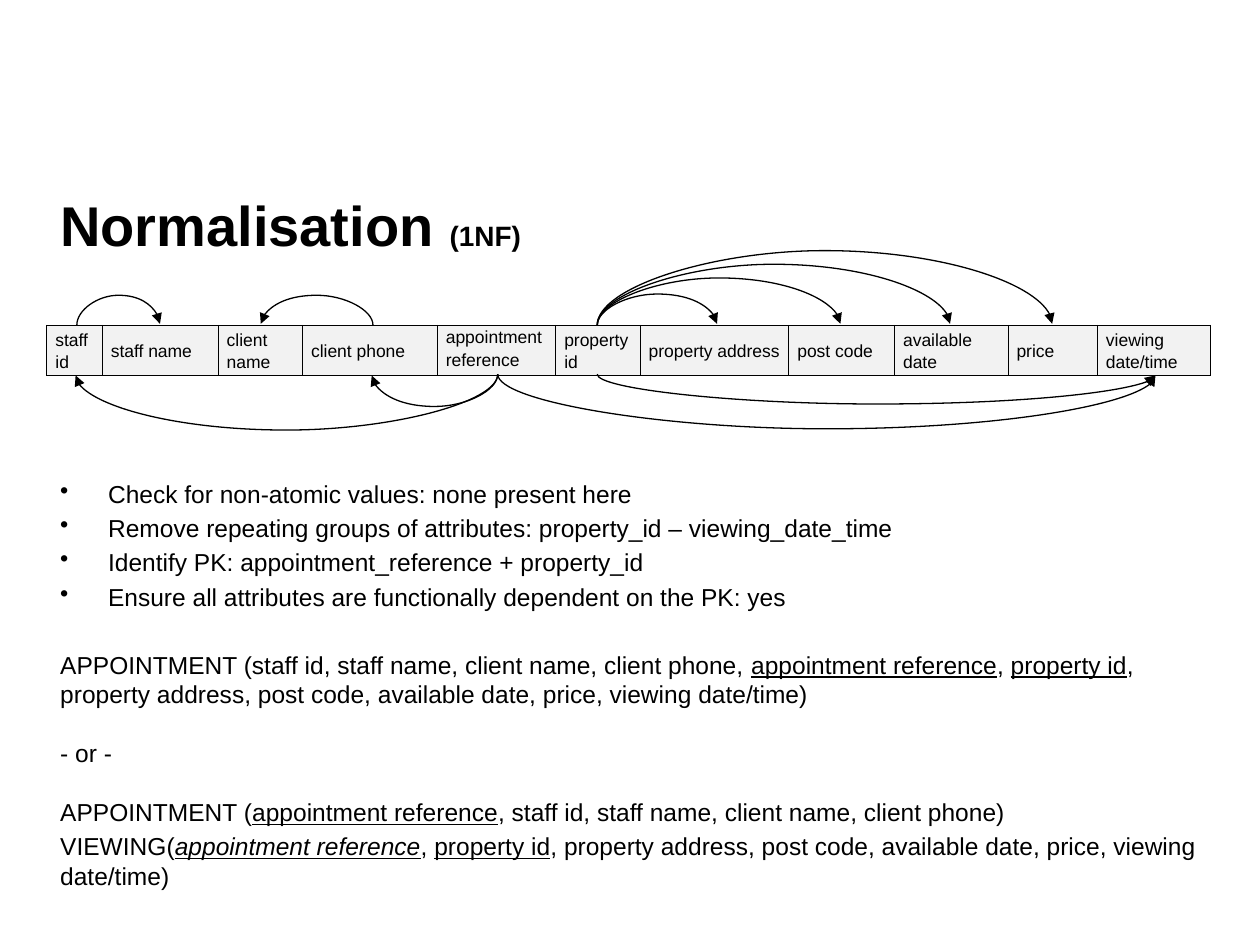
from lxml.etree import SubElement
from pptx import Presentation
from pptx.dml.color import RGBColor
from pptx.enum.shapes import MSO_CONNECTOR
from pptx.enum.text import MSO_ANCHOR, PP_ALIGN
from pptx.oxml.ns import qn
from pptx.util import Inches, Pt

COLORS = {"ink": "000000", "cell": "F2F2F2"}
FONT = "Arial"
PLAIN = {}
KEY = {"underline": True}
FOREIGN_KEY = {"underline": True, "italic": True}

TITLE = [("Normalisation ", 32), ("(1NF)", 16)]
STEPS = [
    "Check for non-atomic values: none present here",
    "Remove repeating groups of attributes: property_id – viewing_date_time",
    "Identify PK: appointment_reference + property_id",
    "Ensure all attributes are functionally dependent on the PK: yes",
]
RELATIONS = [
    (22, [("APPOINTMENT (staff id, staff name, client name, client phone, ", PLAIN),
          ("appointment reference", KEY), (", ", PLAIN), ("property id", KEY),
          (", property address, post code, available date, price, viewing date/time)", PLAIN)]),
    (16.9, [("- or -", PLAIN)]),
    (16.9, [("APPOINTMENT (", PLAIN), ("appointment reference", KEY),
            (", staff id, staff name, client name, client phone)", PLAIN)]),
    (2.8, [("VIEWING(", PLAIN), ("appointment reference", FOREIGN_KEY), (", ", PLAIN),
           ("property id", KEY),
           (", property address, post code, available date, price, viewing date/time)", PLAIN)]),
]
ATTRIBUTES = [
    ("staff id", 0.44), ("staff name", 0.92), ("client name", 0.67),
    ("client phone", 1.07), ("appointment reference", 0.94), ("property id", 0.67),
    ("property address", 1.18), ("post code", 0.84), ("available date", 0.9),
    ("price", 0.71), ("viewing date/time", 0.9),
]
TABLE_LEFT, TABLE_TOP, ROW_HEIGHT = 0.37, 2.58, 0.4
ARCS_ABOVE = [(0.61, 1.27, 2.34), (2.96, 2.07, 2.34), (4.74, 5.69, 2.33),
              (4.74, 6.67, 2.2), (4.74, 7.54, 2.09), (4.74, 8.35, 1.98)]
ARCS_BELOW = [(4.74, 9.17, 3.21), (3.95, 9.17, 3.41),
              (3.95, 2.95, 3.23), (3.95, 0.6, 3.42)]
ARC_TOP, ARC_BOTTOM, ARC_STEP = 2.58, 2.97, 0.01


def add_span(para, text, size, **styles):
    span = para.add_run()
    span.text = text
    span.font.color.rgb = RGBColor.from_string(COLORS["ink"])
    for name, value in {"name": FONT, "size": Pt(size), **styles}.items():
        setattr(span.font, name, value)


def add_text_box(page, left, top, width, height, anchor):
    box = page.shapes.add_textbox(*map(Inches, (left, top, width, height)))
    box.text_frame.word_wrap = True
    box.text_frame.vertical_anchor = anchor
    return box.text_frame


def add_bullet(para):
    properties = para._p.get_or_add_pPr()
    properties.set("marL", str(Inches(0.38)))
    properties.set("indent", str(-Inches(0.38)))
    SubElement(properties, qn("a:buChar"), char="•")


def add_border(cell):
    properties = cell._tc.get_or_add_tcPr()
    for index, side in enumerate(("lnL", "lnR", "lnT", "lnB")):
        line = SubElement(properties, qn(f"a:{side}"), w=str(Pt(0.25)))
        fill = SubElement(line, qn("a:solidFill"))
        SubElement(fill, qn("a:srgbClr"), val=COLORS["ink"])
        properties.remove(line)
        properties.insert(index, line)


def add_attribute_table(page):
    widths = [width for _, width in ATTRIBUTES]
    frame = page.shapes.add_table(1, len(ATTRIBUTES), Inches(TABLE_LEFT), Inches(TABLE_TOP),
                                  Inches(sum(widths)), Inches(ROW_HEIGHT))
    table = frame.table
    table.first_row = table.horz_banding = False
    table.rows[0].height = Inches(ROW_HEIGHT)
    for index, (label, width) in enumerate(ATTRIBUTES):
        table.columns[index].width = Inches(width)
        cell = table.cell(0, index)
        cell.fill.solid()
        cell.fill.fore_color.rgb = RGBColor.from_string(COLORS["cell"])
        cell.margin_left = cell.margin_right = Inches(0.07)
        cell.margin_top = cell.margin_bottom = 0
        top_aligned = label == "appointment reference"
        cell.vertical_anchor = MSO_ANCHOR.TOP if top_aligned else MSO_ANCHOR.MIDDLE
        para = cell.text_frame.paragraphs[0]
        para.alignment = PP_ALIGN.LEFT
        para.line_spacing = 1.15
        add_span(para, label, 10)
        add_border(cell)


def add_arc(page, start, end, peak, above):
    rightward = end > start
    base = ARC_TOP if above else ARC_BOTTOM
    middle_x = (start + end) / 2
    middle_y = base + (-ARC_STEP if above else ARC_STEP) / 2
    half_width, half_height = ARC_STEP / 2, abs(end - start) / 2
    flip_x = -1 if rightward else 1
    flip_y = -1 if above else 1
    arc = page.shapes.add_connector(
        MSO_CONNECTOR.CURVE,
        Inches(middle_x - flip_x * half_width), Inches(middle_y - flip_y * half_height),
        Inches(middle_x + flip_x * half_width), Inches(middle_y + flip_y * half_height))
    arc.line.width = Pt(0.75)
    arc.line.color.rgb = RGBColor.from_string(COLORS["ink"])
    properties = arc._element.spPr
    turn = 90 if rightward == above else 270
    properties.find(qn("a:xfrm")).set("rot", str(turn * 60000))
    adjustment = round(abs(peak - base) / ARC_STEP * 100000)
    guides = properties.find(qn("a:prstGeom")).get_or_add_avLst()
    SubElement(guides, qn("a:gd"), name="adj1", fmla=f"val {adjustment}")
    SubElement(properties.find(qn("a:ln")), qn("a:tailEnd"), type="triangle")
    SubElement(properties, qn("a:effectLst"))


def main():
    deck = Presentation()
    deck.slide_width, deck.slide_height = Inches(10), Inches(7.5)
    page = deck.slides.add_slide(deck.slide_layouts[6])

    title = add_text_box(page, 0.38, 1.4, 9.24, 0.76, MSO_ANCHOR.MIDDLE)
    for text, size in TITLE:
        add_span(title.paragraphs[0], text, size, bold=True)

    body = add_text_box(page, 0.38, 3.75, 9.24, 3.46, MSO_ANCHOR.TOP)
    paragraphs = [(2.8, [(step, PLAIN)], True) for step in STEPS]
    paragraphs += [(gap, spans, False) for gap, spans in RELATIONS]
    for index, (gap, spans, bulleted) in enumerate(paragraphs):
        para = body.add_paragraph() if index else body.paragraphs[0]
        para.space_before = Pt(gap)
        if bulleted:
            add_bullet(para)
        for text, styles in spans:
            add_span(para, text, 14, **styles)

    add_attribute_table(page)
    for arcs, above in ((ARCS_ABOVE, True), (ARCS_BELOW, False)):
        for start, end, peak in arcs:
            add_arc(page, start, end, peak, above)

    deck.save("out.pptx")


if __name__ == "__main__":
    main()
